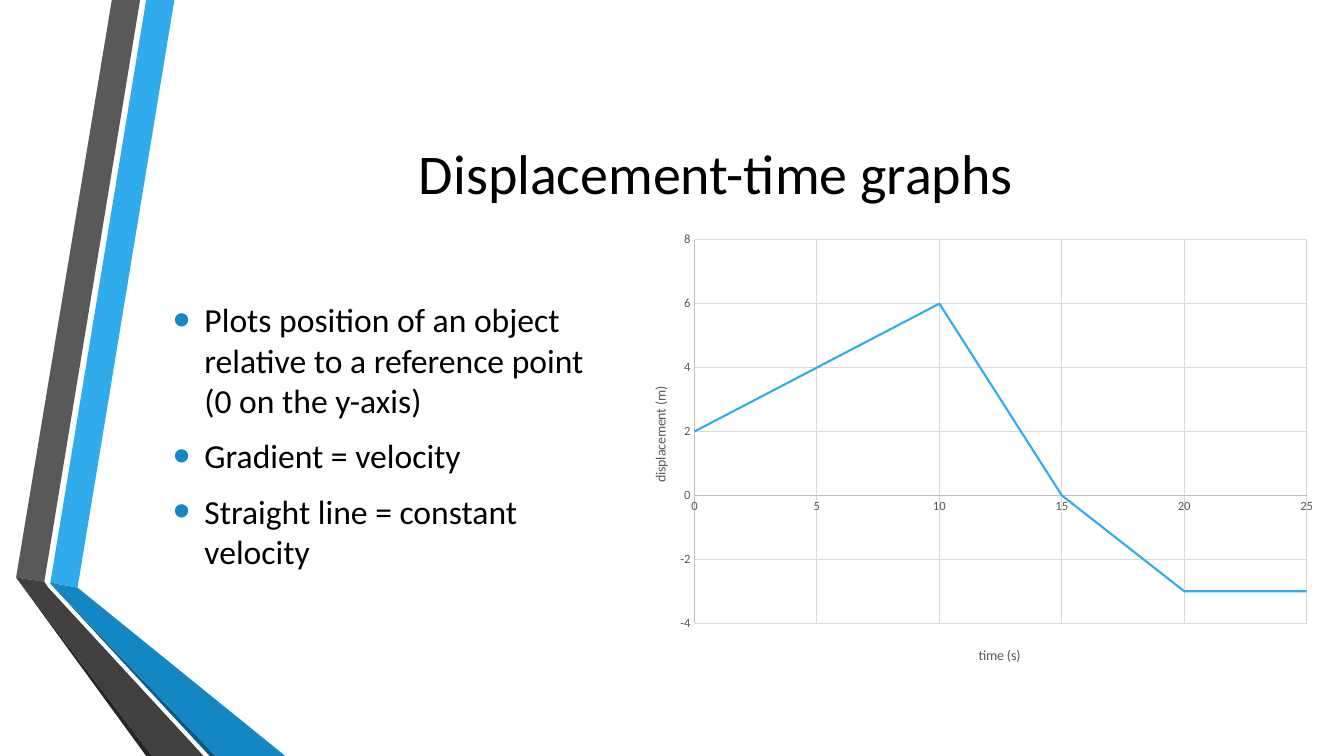
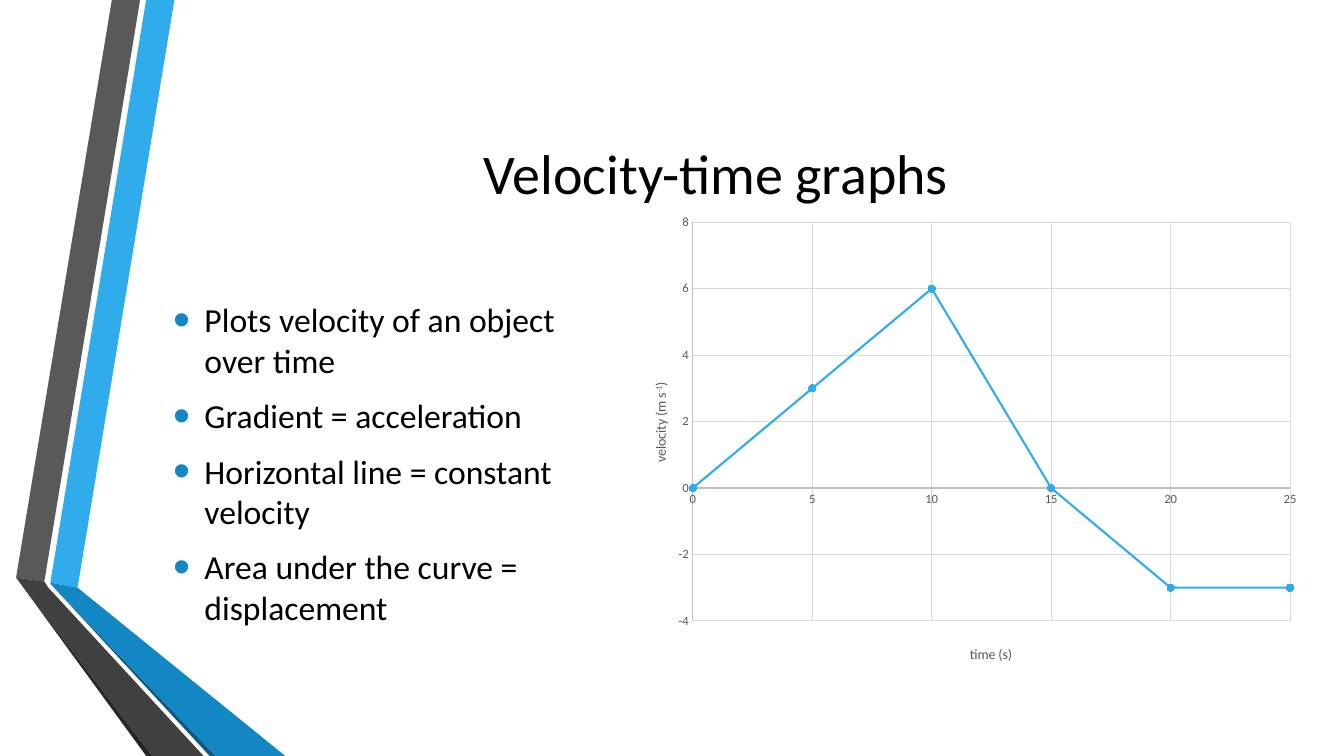
"""Build two slides on motion graphs, each with bullet points and a line chart."""
from dataclasses import dataclass

from lxml import etree
from pptx import Presentation
from pptx.chart.axis import ValueAxis
from pptx.chart.chart import Chart
from pptx.chart.data import XyChartData
from pptx.dml.color import RGBColor
from pptx.enum.chart import XL_CHART_TYPE, XL_MARKER_STYLE, XL_TICK_MARK
from pptx.enum.text import MSO_ANCHOR, PP_ALIGN
from pptx.oxml import parse_xml
from pptx.oxml.ns import nsdecls, qn
from pptx.slide import Slide
from pptx.text.text import Font, TextFrame, _Paragraph
from pptx.util import Inches, Pt

LINES = XL_CHART_TYPE.XY_SCATTER_LINES_NO_MARKERS
LINES_WITH_MARKERS = XL_CHART_TYPE.XY_SCATTER_LINES
CIRCLE = XL_MARKER_STYLE.CIRCLE
NO_TICK = XL_TICK_MARK.NONE
CENTER = PP_ALIGN.CENTER
MIDDLE, TOP = MSO_ANCHOR.MIDDLE, MSO_ANCHOR.TOP


@dataclass(frozen=True)
class Theme:
    font: str = "Calibri"
    text: str = "000000"
    accent: str = "30ACEC"
    accent_dark: str = "1287C3"
    accent_deep: str = "0C5A82"
    gray: str = "595959"
    gray_dark: str = "404040"
    gray_deep: str = "262626"
    axis: str = "BFBFBF"
    grid: str = "D9D9D9"
    background: str = "FFFFFF"
    title_size: float = 40
    body_size: float = 24
    axis_title_size: float = 10
    label_size: float = 9
    paragraph_gap: float = 10.8
    axis_width: float = 0.75
    series_width: float = 1.5
    marker_size: int = 5


@dataclass(frozen=True)
class Box:
    left: float
    top: float
    width: float
    height: float


@dataclass(frozen=True)
class Band:
    color: str
    points: tuple[tuple[float, float], ...]


@dataclass(frozen=True)
class Label:
    text: str
    x: float
    y: float
    superscript: str = ""
    ending: str = ""


@dataclass(frozen=True)
class Graph:
    box: Box
    value_label: Label
    values: tuple[float, ...]
    markers: bool


@dataclass(frozen=True)
class GraphSlide:
    title: str
    bullets: tuple[str, ...]
    graph: Graph


THEME = Theme()
TITLE_BOX = Box(1.62, 0.75, 10.96, 1.92)
BODY_BOX = Box(1.62, 2.92, 4.56, 3.42)
PLOT_BOX = Box(0.1, 0.035, 0.87, 0.84)
TIME_LABEL = Label("time (s)", 0.5, 0.92)
TIMES = range(0, 26, 5)

BANDS = (
    Band(THEME.accent, ((0.5, 5.78), (0.77, 5.83), (1.73, 0), (1.45, 0))),
    Band(THEME.gray, ((1.39, 0), (1.11, 0), (0.16, 5.73), (0.44, 5.77))),
    Band(THEME.gray_deep, ((0.16, 5.73), (1.45, 7.5), (1.51, 7.5))),
    Band(THEME.accent_deep, ((0.5, 5.79), (2.08, 7.5), (2.14, 7.5))),
    Band(THEME.accent_dark, ((0.5, 5.78), (0.5, 5.79), (2.14, 7.5), (2.83, 7.5), (0.77, 5.83))),
    Band(THEME.gray_dark, ((2.02, 7.5), (0.48, 5.83), (0.44, 5.77), (0.16, 5.73), (1.51, 7.5))),
)

SLIDES = (
    GraphSlide(
        "Displacement-time graphs",
        (
            "Plots position of an object relative to a reference point (0 on the y-axis)",
            "Gradient = velocity",
            "Straight line = constant velocity",
        ),
        Graph(
            Box(6.19, 2.22, 6.98, 4.53),
            Label("displacement (m)", 0.035, 0.35),
            (2, 4, 6, 0, -3, -3),
            False,
        ),
    ),
    GraphSlide(
        "Velocity-time graphs",
        (
            "Plots velocity of an object over time",
            "Gradient = acceleration",
            "Horizontal line = constant velocity",
            "Area under the curve = displacement",
        ),
        Graph(
            Box(6.19, 2.04, 6.81, 4.71),
            Label("velocity (m s", 0.035, 0.365, "-1", ")"),
            (0, 3, 6, 0, -3, -3),
            True,
        ),
    ),
)


def rgb(color: str) -> RGBColor:
    return RGBColor.from_string(color)


def place(box: Box) -> tuple[int, int, int, int]:
    return Inches(box.left), Inches(box.top), Inches(box.width), Inches(box.height)


def style_font(font: Font, size: float, color: str) -> None:
    font.name = THEME.font
    font.size = Pt(size)
    font.bold = False
    font.color.rgb = rgb(color)


def add_run(paragraph: _Paragraph, text: str, size: float, color: str) -> Font:
    run = paragraph.add_run()
    run.text = text
    style_font(run.font, size, color)
    return run.font


def add_text_frame(slide: Slide, box: Box, anchor: MSO_ANCHOR) -> TextFrame:
    frame = slide.shapes.add_textbox(*place(box)).text_frame
    frame.word_wrap = True
    frame.vertical_anchor = anchor
    return frame


def add_band(slide: Slide, band: Band) -> None:
    start, *others = [(Inches(x), Inches(y)) for x, y in band.points]
    builder = slide.shapes.build_freeform(*start)
    builder.add_line_segments(others, close=True)
    shape = builder.convert_to_shape()
    shape.shadow.inherit = False
    shape.fill.solid()
    shape.fill.fore_color.rgb = rgb(band.color)
    shape.line.fill.background()


def add_title(slide: Slide, title: str) -> None:
    paragraph = add_text_frame(slide, TITLE_BOX, MIDDLE).paragraphs[0]
    paragraph.alignment = CENTER
    add_run(paragraph, title, THEME.title_size, THEME.text)


def set_bullet(paragraph: _Paragraph) -> None:
    properties = paragraph._p.get_or_add_pPr()
    properties.set("marL", str(Inches(0.31)))
    properties.set("indent", str(-Inches(0.31)))
    color = etree.SubElement(properties, qn("a:buClr"))
    etree.SubElement(color, qn("a:srgbClr"), val=THEME.accent_dark)
    etree.SubElement(properties, qn("a:buSzPct"), val="145000")
    etree.SubElement(properties, qn("a:buFont"), typeface="Arial")
    etree.SubElement(properties, qn("a:buChar"), char="•")


def add_bullets(slide: Slide, bullets: tuple[str, ...]) -> None:
    frame = add_text_frame(slide, BODY_BOX, TOP)
    for index, text in enumerate(bullets):
        paragraph = frame.add_paragraph() if index else frame.paragraphs[0]
        paragraph.space_after = Pt(THEME.paragraph_gap)
        set_bullet(paragraph)
        add_run(paragraph, text, THEME.body_size, THEME.text)


def set_layout(parent: etree._Element, position: int, **settings: str | float) -> None:
    for existing in parent.findall(qn("c:layout")):
        parent.remove(existing)
    layout = etree.Element(qn("c:layout"))
    manual = etree.SubElement(layout, qn("c:manualLayout"))
    for name, value in settings.items():
        etree.SubElement(manual, qn(f"c:{name}"), val=str(value))
    parent.insert(position, layout)


def style_axis(axis: ValueAxis, label: Label, low: float, high: float, step: float) -> None:
    axis.minimum_scale, axis.maximum_scale, axis.major_unit = low, high, step
    axis.major_tick_mark = axis.minor_tick_mark = NO_TICK
    axis.has_major_gridlines = True
    for line, color in (
        (axis.format.line, THEME.axis),
        (axis.major_gridlines.format.line, THEME.grid),
    ):
        line.color.rgb = rgb(color)
        line.width = Pt(THEME.axis_width)
    style_font(axis.tick_labels.font, THEME.label_size, THEME.gray)
    title = axis.axis_title
    paragraph = title.text_frame.paragraphs[0]
    add_run(paragraph, label.text, THEME.axis_title_size, THEME.gray)
    if label.superscript:
        font = add_run(paragraph, label.superscript, THEME.axis_title_size, THEME.gray)
        font._element.set("baseline", "30000")
        add_run(paragraph, label.ending, THEME.axis_title_size, THEME.gray)
    set_layout(title.element, 1, xMode="edge", yMode="edge", x=label.x, y=label.y)


def set_chart_background(chart: Chart) -> None:
    fill = parse_xml(
        f'<c:spPr {nsdecls("c", "a")}><a:solidFill><a:srgbClr val="{THEME.background}"/>'
        "</a:solidFill><a:ln><a:noFill/></a:ln></c:spPr>"
    )
    chart.element.find(qn("c:chart")).addnext(fill)


def add_graph(slide: Slide, graph: Graph) -> None:
    data = XyChartData()
    points = data.add_series("Series 1")
    for time, value in zip(TIMES, graph.values):
        points.add_data_point(time, value)
    kind = LINES_WITH_MARKERS if graph.markers else LINES
    chart = slide.shapes.add_chart(kind, *place(graph.box), data).chart
    chart.has_legend = chart.has_title = False
    style_font(chart.font, THEME.axis_title_size, THEME.text)
    set_chart_background(chart)
    style_axis(chart.category_axis, TIME_LABEL, 0, 25, 5)
    style_axis(chart.value_axis, graph.value_label, -4, 8, 2)
    body = chart.value_axis.axis_title.element.find(f".//{qn('a:bodyPr')}")
    body.set("rot", "-5400000")
    body.set("vert", "horz")
    set_layout(
        chart.element.find(f".//{qn('c:plotArea')}"), 0,
        layoutTarget="inner", xMode="edge", yMode="edge",
        x=PLOT_BOX.left, y=PLOT_BOX.top, w=PLOT_BOX.width, h=PLOT_BOX.height,
    )
    chart.plots[0].vary_by_categories = False
    series = chart.plots[0].series[0]
    series.smooth = False
    series.format.line.color.rgb = rgb(THEME.accent)
    series.format.line.width = Pt(THEME.series_width)
    if graph.markers:
        marker = series.marker
        marker.style, marker.size = CIRCLE, THEME.marker_size
        marker.format.fill.solid()
        marker.format.fill.fore_color.rgb = rgb(THEME.accent)
        marker.format.line.color.rgb = rgb(THEME.accent)


def main() -> None:
    presentation = Presentation()
    presentation.slide_width, presentation.slide_height = Inches(13.33), Inches(7.5)
    for content in SLIDES:
        slide = presentation.slides.add_slide(presentation.slide_layouts[6])
        for band in BANDS:
            add_band(slide, band)
        add_title(slide, content.title)
        add_bullets(slide, content.bullets)
        add_graph(slide, content.graph)
    presentation.save("out.pptx")


main()
